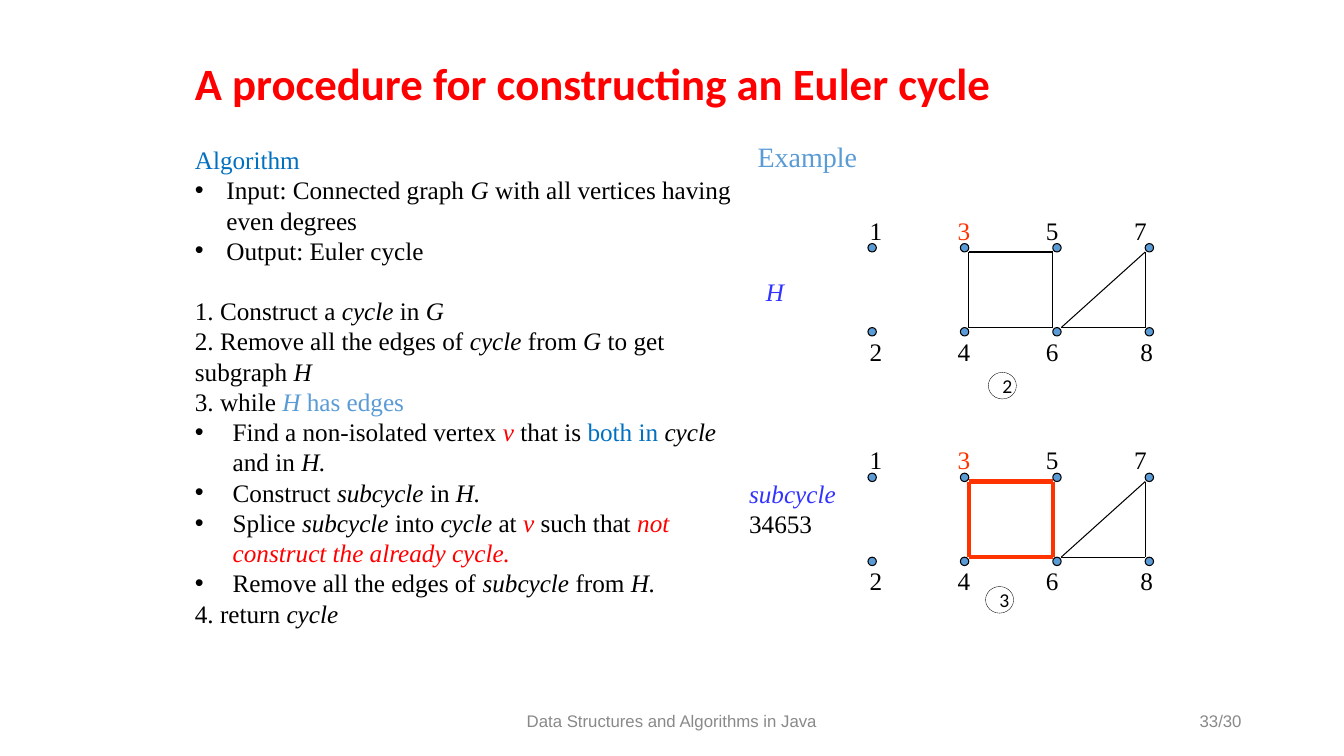
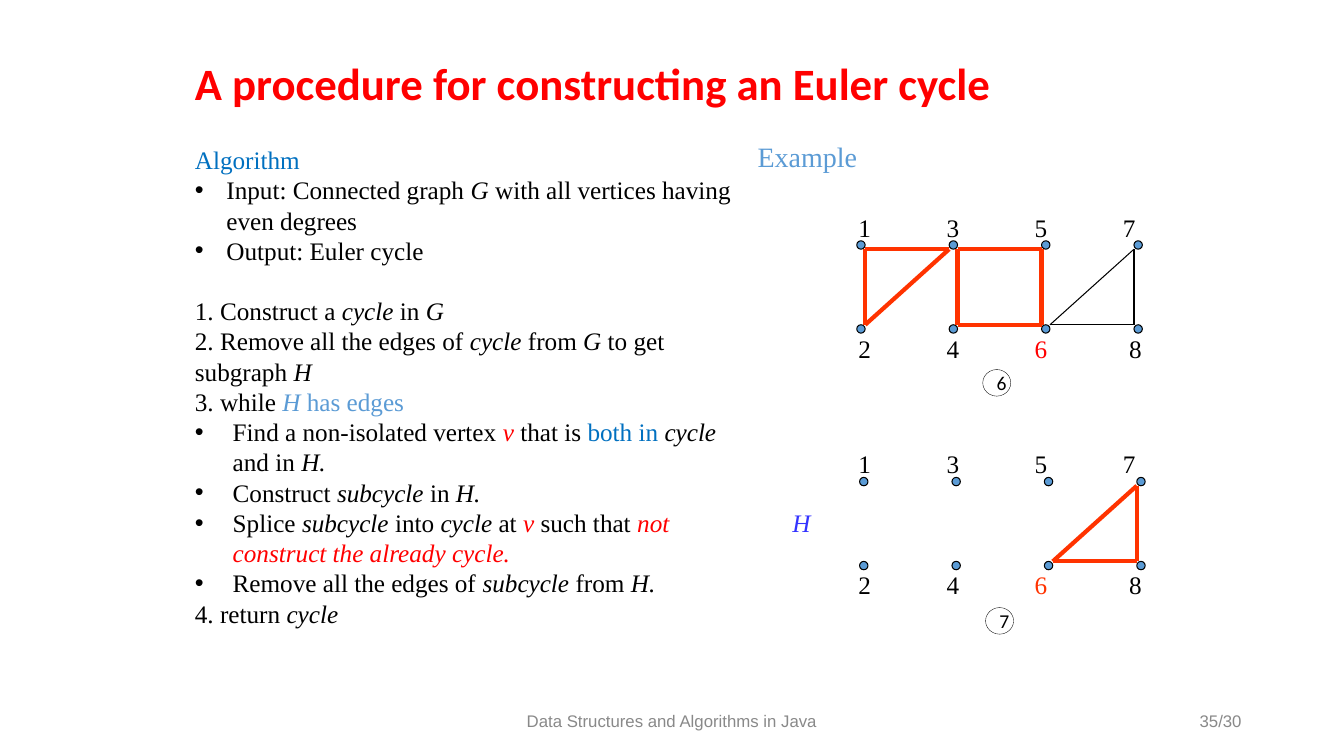
from lxml import etree
from pptx import Presentation
from pptx.dml.color import RGBColor
from pptx.enum.shapes import MSO_CONNECTOR, MSO_SHAPE
from pptx.enum.text import MSO_ANCHOR, MSO_AUTO_SIZE, PP_ALIGN
from pptx.oxml.ns import qn
from pptx.util import Pt

STRAIGHT = MSO_CONNECTOR.STRAIGHT
OVAL = MSO_SHAPE.OVAL
MIDDLE, TOP = MSO_ANCHOR.MIDDLE, MSO_ANCHOR.TOP
LEFT, CENTER, RIGHT = PP_ALIGN.LEFT, PP_ALIGN.CENTER, PP_ALIGN.RIGHT
NO_AUTOFIT = MSO_AUTO_SIZE.NONE

COLORS = {
    "black": "000000", "white": "FFFFFF", "red": "FF0000", "orange": "FF3300",
    "blue": "0070C0", "sky": "5B9BD5", "violet": "3333FF", "gray": "898989",
}
SERIF = {"name": "Times New Roman", "size": Pt(18)}
TITLE_FONT = {"name": "Calibri", "size": Pt(32), "bold": True}
BADGE_FONT = {"name": "Calibri", "size": Pt(14)}
FOOTER_FONT = {"name": "Arial", "size": Pt(12)}
EXAMPLE_FONT = {"name": "Times New Roman", "size": Pt(20)}
PLAIN, ITALIC = ("black", False), ("black", True)
RED, BLUE, SKY = ("red", True), ("blue", False), ("sky", False)

INPUT_INDENT, STEP_INDENT = 22.5, 27
LINE_HEIGHT = 21.6
DOT, COLUMN_STEP, ROW_STEP = 6, 66, 60
LABEL_STEP = 63

TITLE = "A procedure for constructing an Euler cycle"
FOOTER = "Data Structures and Algorithms in Java"
ALGORITHM = [
    (0, 0, [("Algorithm", BLUE)]),
    (INPUT_INDENT, 0, [("Input: Connected graph ", PLAIN), ("G ", ITALIC),
                       ("with all vertices having even degrees", PLAIN)]),
    (INPUT_INDENT, LINE_HEIGHT, [("Output: Euler cycle", PLAIN)]),
    (0, 0, [("1. Construct a ", PLAIN), ("cycle", ITALIC), (" in ", PLAIN),
            ("G", ITALIC)]),
    (0, 0, [("2. Remove all the edges of ", PLAIN), ("cycle", ITALIC),
            (" from ", PLAIN), ("G", ITALIC), (" to get subgraph ", PLAIN),
            ("H", ITALIC)]),
    (0, 0, [("3. while ", PLAIN), ("H", ("sky", True)), (" has edges", SKY)]),
    (STEP_INDENT, 0, [("Find a non-isolated vertex ", PLAIN), ("v ", RED),
                      ("that is ", PLAIN), ("both in ", BLUE),
                      ("cycle", ITALIC), (" and in ", PLAIN), ("H.", ITALIC)]),
    (STEP_INDENT, 0, [("Construct ", PLAIN), ("subcycle ", ITALIC),
                      ("in ", PLAIN), ("H.", ITALIC)]),
    (STEP_INDENT, 0, [("Splice ", PLAIN), ("subcycle", ITALIC),
                      (" into ", PLAIN), ("cycle", ITALIC), (" at ", PLAIN),
                      ("v ", RED), ("such that ", PLAIN),
                      ("not construct the already cycle.", RED)]),
    (STEP_INDENT, 0, [("Remove all the edges of ", PLAIN),
                      ("subcycle", ITALIC), (" from", PLAIN),
                      (" H.", ITALIC)]),
    (0, 0, [("4. return ", PLAIN), ("cycle", ITALIC)]),
]

SQUARE = [(3, 5), (4, 6), (3, 4), (5, 6)]
LEFT_TRIANGLE = [(1, 3), (1, 2), (3, 2)]
RIGHT_TRIANGLE = [(6, 8), (7, 8), (7, 6)]
SUBGRAPH_NOTE = [("H", ("violet", True))]
SLIDES = [
    ("33/30", [
        {"origin": (620, 174), "thin": SQUARE + RIGHT_TRIANGLE,
         "marked": (3, "orange"), "badge": ("2", 86, 92),
         "note": (-80, 20, SUBGRAPH_NOTE)},
        {"origin": (620, 338), "thin": RIGHT_TRIANGLE, "thick": SQUARE,
         "marked": (3, "orange"), "badge": ("3", 84, 81),
         "note": (-92, 0, [("subcycle", ("violet", True)), ("34653", PLAIN)])},
    ]),
    ("35/30", [
        {"origin": (612, 172), "thin": RIGHT_TRIANGLE,
         "thick": SQUARE + LEFT_TRIANGLE, "marked": (6, "red"),
         "badge": ("6", 90, 92)},
        {"origin": (614, 341), "thick": RIGHT_TRIANGLE,
         "marked": (6, "orange"), "badge": ("7", 90, 93), "label_shift": -8,
         "note": (-55, 18, SUBGRAPH_NOTE)},
    ]),
]


def color(name):
    """Return the named palette colour."""
    return RGBColor.from_string(COLORS[name])


def apply_format(target, values):
    """Set every attribute listed in values on the target."""
    for name, value in values.items():
        setattr(target, name, value)


def add_run(paragraph, text, font, style):
    """Append a run with a font and a (colour, italic) style."""
    run = paragraph.add_run()
    run.text = text
    apply_format(run.font, {**font, "italic": style[1]})
    run.font.color.rgb = color(style[0])


def add_property(paragraph, tag, **attributes):
    """Append a drawing element to the paragraph properties."""
    properties = paragraph._p.get_or_add_pPr()
    return etree.SubElement(properties, qn(tag), attributes)


def place(shape, left, top, width, height):
    """Move and size a shape in points."""
    apply_format(shape, {"left": Pt(left), "top": Pt(top),
                         "width": Pt(width), "height": Pt(height)})


def add_text(slide, box, lines, font, align=LEFT, anchor=TOP):
    """Add a text box with one styled run per line."""
    frame = slide.shapes.add_textbox(*map(Pt, box)).text_frame
    apply_format(frame, {"word_wrap": True, "vertical_anchor": anchor})
    for index, (text, style) in enumerate(lines):
        paragraph = frame.add_paragraph() if index else frame.paragraphs[0]
        paragraph.alignment = align
        add_run(paragraph, text, font, style)


def add_oval(slide, box, fill, line_width):
    """Add an outlined oval."""
    oval = slide.shapes.add_shape(OVAL, *map(Pt, box))
    oval.shadow.inherit = False
    oval.fill.solid()
    oval.fill.fore_color.rgb = color(fill)
    oval.line.color.rgb = color("black")
    oval.line.width = Pt(line_width)
    return oval


def add_badge(slide, left, top, number):
    """Add a small numbered oval."""
    frame = add_oval(slide, (left, top, 20, 19), "white", 0.25).text_frame
    apply_format(frame, {"margin_left": Pt(7), "margin_right": 0,
                         "margin_top": 0, "margin_bottom": 0,
                         "word_wrap": False, "vertical_anchor": MIDDLE})
    frame.paragraphs[0].alignment = CENTER
    add_run(frame.paragraphs[0], number, BADGE_FONT, PLAIN)


def edge_end(origin, vertex, other):
    """Return the point on a vertex dot where its edge to another begins."""
    column, row = divmod(vertex - 1, 2)
    other_column = (other - 1) // 2
    faces_right = other_column > column or (other_column == column < 2)
    return (origin[0] + column * COLUMN_STEP + (DOT if faces_right else 0),
            origin[1] + (ROW_STEP if row else DOT))


def add_edge(slide, origin, edge, line_color, line_width):
    """Draw the edge between two numbered vertices."""
    start, finish = edge
    points = edge_end(origin, start, finish) + edge_end(origin, finish, start)
    line = slide.shapes.add_connector(STRAIGHT, *map(Pt, points))
    line.line.color.rgb = color(line_color)
    line.line.width = Pt(line_width)
    etree.SubElement(line._element.spPr, qn("a:effectLst"))


def add_vertex_labels(slide, left, top, marked):
    """Write the odd and even vertex numbers as two tabbed rows."""
    marked_vertex, marked_color = marked
    for row, last_stop in enumerate((3 * LABEL_STEP, 3 * LABEL_STEP + 4.5)):
        box = (left, top + row * 4 * LINE_HEIGHT, 226, 29)
        frame = slide.shapes.add_textbox(*map(Pt, box)).text_frame
        frame.word_wrap = True
        paragraph = frame.paragraphs[0]
        tabs = add_property(paragraph, "a:tabLst")
        for stop in (LABEL_STEP, 2 * LABEL_STEP, last_stop):
            etree.SubElement(tabs, qn("a:tab"), pos=str(Pt(stop)), algn="l")
        for vertex in range(row + 1, 9, 2):
            name = marked_color if vertex == marked_vertex else "black"
            text = f"\t{vertex}" if vertex > 2 else str(vertex)
            add_run(paragraph, text, SERIF, (name, False))


def add_graph(slide, origin, marked, badge, thin=(), thick=(), note=None,
              label_shift=-6):
    """Draw one eight-vertex graph from the corner of its first dot."""
    left, top = origin
    for vertex in range(8):
        column, row = divmod(vertex, 2)
        add_oval(slide, (left + column * COLUMN_STEP, top + row * ROW_STEP,
                         DOT, DOT), "sky", 0.75)
    for edges, line_color, width in ((thin, "black", 0.75),
                                     (thick, "orange", 3)):
        for edge in edges:
            add_edge(slide, origin, edge, line_color, width)
    add_vertex_labels(slide, left + label_shift, top - 24, marked)
    number, across, down = badge
    add_badge(slide, left + across, top + down, number)
    if note:
        across, down, lines = note
        add_text(slide, (left + across, top + down, 80, 29 * len(lines)),
                 lines, SERIF)


def fill_title(title):
    """Place and format the slide title."""
    place(title, 132, 40.5, 678, 42.5)
    apply_format(title.text_frame, {"vertical_anchor": MIDDLE,
                                    "auto_size": NO_AUTOFIT})
    paragraph = title.text_frame.paragraphs[0]
    apply_format(paragraph, {"alignment": LEFT, "line_spacing": 0.9})
    add_run(paragraph, TITLE, TITLE_FONT, ("red", False))


def fill_algorithm(body):
    """Write the algorithm into the body placeholder."""
    place(body, 132, 99.5, 408, 356)
    frame = body.text_frame
    frame.auto_size = NO_AUTOFIT
    for index, (indent, space_after, runs) in enumerate(ALGORITHM):
        paragraph = frame.add_paragraph() if index else frame.paragraphs[0]
        properties = paragraph._p.get_or_add_pPr()
        properties.set("marL", str(Pt(indent)))
        properties.set("indent", str(Pt(-indent)))
        if indent:
            add_property(paragraph, "a:buFont", typeface="Arial")
            add_property(paragraph, "a:buChar", char="•")
        else:
            add_property(paragraph, "a:buNone")
        apply_format(paragraph, {"space_before": Pt(0),
                                 "space_after": Pt(space_after)})
        for text, style in runs:
            add_run(paragraph, text, SERIF, style)


def add_footer(slide, number):
    """Add the course name and the page number."""
    for text, left, width, align in ((FOOTER, 318, 324, CENTER),
                                     (number, 678, 216, RIGHT)):
        add_text(slide, (left, 500.5, width, 28.5),
                 [(text, ("gray", False))], FOOTER_FONT, align, MIDDLE)


def build_slide(presentation, number, graphs):
    """Build one slide with the algorithm and its example graphs."""
    slide = presentation.slides.add_slide(presentation.slide_layouts[1])
    fill_title(slide.shapes.title)
    fill_algorithm(slide.placeholders[1])
    add_text(slide, (534, 96, 284, 31.5), [("Example", SKY)], EXAMPLE_FONT)
    for graph in graphs:
        add_graph(slide, **graph)
    add_footer(slide, number)


def main():
    """Create and save the presentation."""
    presentation = Presentation()
    apply_format(presentation, {"slide_width": Pt(960),
                                "slide_height": Pt(540)})
    for number, graphs in SLIDES:
        build_slide(presentation, number, graphs)
    presentation.save("out.pptx")


if __name__ == "__main__":
    main()
